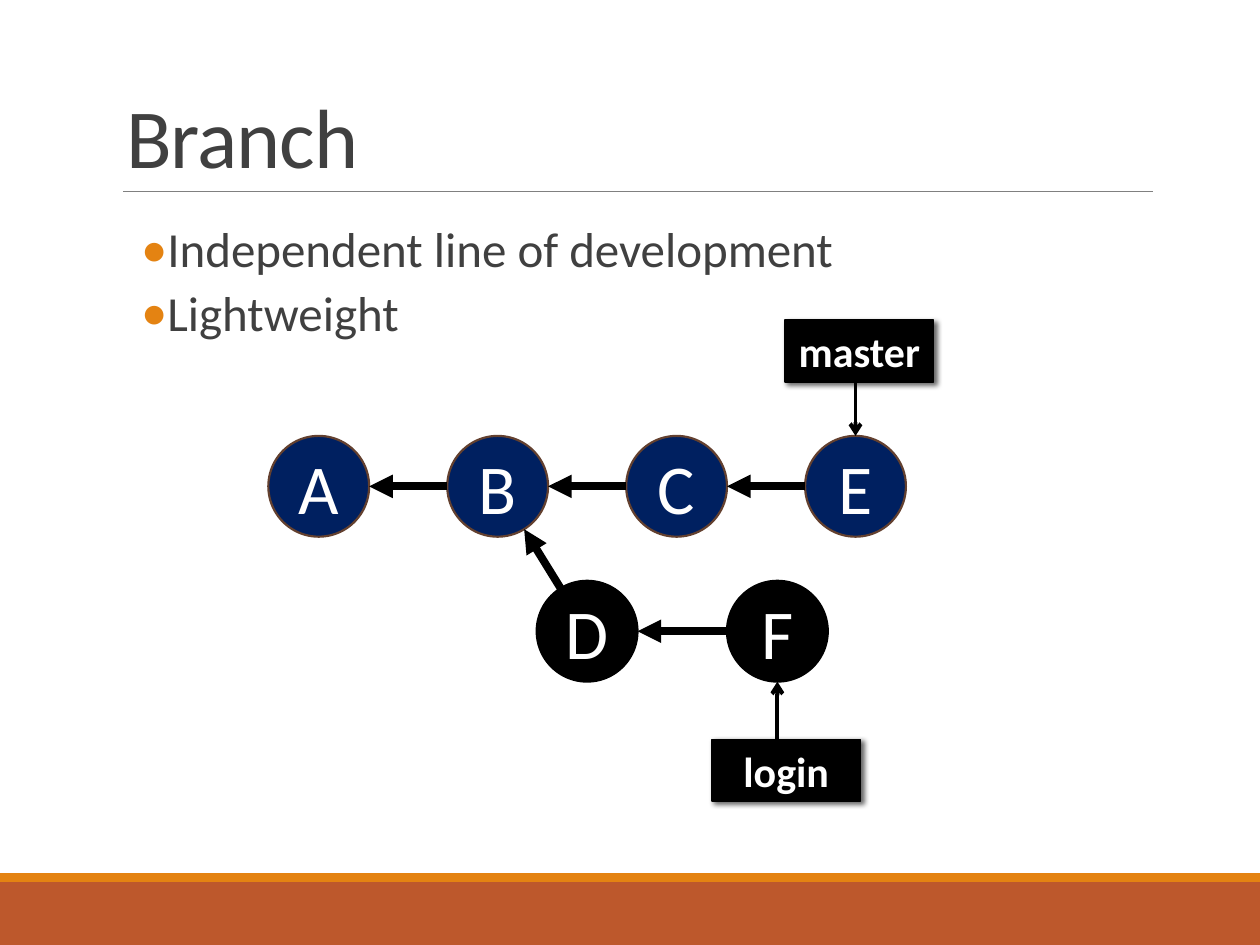
"""Build the Branch slide: a commit graph with two branch labels."""
import math

import lxml.etree
import pptx
import pptx.dml.color
import pptx.enum.shapes
import pptx.enum.text
import pptx.oxml.ns
import pptx.util

THEME = {
    "font": "Calibri", "title": 48, "body": 28, "commit": 40, "label": 24,
    "text": "404040", "rule": "808080", "accent": "E48312", "footer": "BD582C",
    "main": "002060", "main_line": "63402F", "black": "000000", "white": "FFFFFF",
}
SHAPE = pptx.enum.shapes.MSO_SHAPE
STRAIGHT = pptx.enum.shapes.MSO_CONNECTOR.STRAIGHT
ALIGN = pptx.enum.text.PP_ALIGN
ANCHOR = pptx.enum.text.MSO_ANCHOR
Pt = pptx.util.Pt
rgb = pptx.dml.color.RGBColor.from_string
qn = pptx.oxml.ns.qn

prs = pptx.Presentation()
prs.slide_width = pptx.util.Inches(10)
prs.slide_height = pptx.util.Inches(7.5)
COL = prs.slide_width / 10
ROW = prs.slide_height / 7.5
s = prs.slides.add_slide(prs.slide_layouts[5])


def add_box(kind, x, y, w, h, fill, line=None, width=1, text="", size=None, bold=False):
    sp = s.shapes.add_shape(kind, int(x * COL), int(y * ROW), int(w * COL), int(h * ROW))
    sp.shadow.inherit = False
    sp.fill.solid()
    sp.fill.fore_color.rgb = rgb(fill)
    if line:
        sp.line.color.rgb = rgb(line)
        sp.line.width = Pt(width)
    else:
        sp.line.fill.background()
    if text:
        tf = sp.text_frame
        tf.text = text
        tf.vertical_anchor = ANCHOR.MIDDLE
        p = tf.paragraphs[0]
        p.alignment = ALIGN.CENTER
        f = p.runs[0].font
        f.name, f.size, f.bold = THEME["font"], Pt(size), bold
        f.color.rgb = rgb(THEME["white"])
    return sp


def add_line(x1, y1, x2, y2, color, width, arrow=None):
    cn = s.shapes.add_connector(
        STRAIGHT, int(x1 * COL), int(y1 * ROW), int(x2 * COL), int(y2 * ROW))
    cn.line.color.rgb = rgb(color)
    cn.line.width = Pt(width)
    if arrow:
        lxml.etree.SubElement(cn.line._get_or_add_ln(), qn("a:tailEnd"), type=arrow)
    lxml.etree.SubElement(cn._element.spPr, qn("a:effectLst"))


add_box(SHAPE.RECTANGLE, 0, 7, 10, 0.5, THEME["footer"])
add_box(SHAPE.RECTANGLE, 0, 6.93, 10, 0.07, THEME["accent"])
add_line(0.98, 1.52, 9.15, 1.52, THEME["rule"], 0.5)

title = s.shapes.title
title.left, title.top = int(0.9 * COL), int(0.31 * ROW)
title.width, title.height = int(8.25 * COL), int(1.21 * ROW)
tf = title.text_frame
tf.text = "Branch"
tf.auto_size = pptx.enum.text.MSO_AUTO_SIZE.NONE
tf.vertical_anchor = ANCHOR.BOTTOM
p = tf.paragraphs[0]
p.alignment = ALIGN.LEFT
p.line_spacing = 0.85
r = p.runs[0]
r.font.name, r.font.size = THEME["font"], Pt(THEME["title"])
r.font.color.rgb = rgb(THEME["text"])
r.font._element.set("spc", "-50")

body = s.shapes.add_textbox(
    int(0.9 * COL), int(1.74 * ROW), int(8.25 * COL), int(4.68 * ROW))
tf = body.text_frame
tf.word_wrap = True
tf.margin_left = tf.margin_right = 0
tf.text = "Independent line of development\nLightweight"
for p in tf.paragraphs:
    p.line_spacing = 0.9
    p.space_before, p.space_after = Pt(2), Pt(4)
    f = p.runs[0].font
    f.name, f.size = THEME["font"], Pt(THEME["body"])
    f.color.rgb = rgb(THEME["text"])
    pPr = p._p.get_or_add_pPr()
    pPr.set("marL", str(int(0.42 * COL)))
    pPr.set("indent", str(int(-0.2 * COL)))
    color = lxml.etree.SubElement(pPr, qn("a:buClr"))
    lxml.etree.SubElement(color, qn("a:srgbClr"), val=THEME["accent"])
    lxml.etree.SubElement(pPr, qn("a:buSzPct"), val="108000")
    lxml.etree.SubElement(pPr, qn("a:buFont"), typeface=THEME["font"])
    lxml.etree.SubElement(pPr, qn("a:buChar"), char="•")

RADIUS, STEP, MAIN_Y, LOGIN_Y = 0.4, 1.42, 3.86, 5.01
commits = {name: (2.53 + i * STEP, MAIN_Y) for i, name in enumerate("ABCE")}
commits["D"] = (commits["B"][0] + STEP / 2, LOGIN_Y)
commits["F"] = (6.17, LOGIN_Y)
for name, (x, y) in commits.items():
    on_main = y == MAIN_Y
    add_box(SHAPE.OVAL, x - RADIUS, y - RADIUS, 2 * RADIUS, 2 * RADIUS,
            THEME["main" if on_main else "black"],
            THEME["main_line" if on_main else "black"], 1.25, name, THEME["commit"])

for child, parent in ("BA", "CB", "EC", "DB", "FD"):
    (x1, y1), (x2, y2) = commits[child], commits[parent]
    reach = RADIUS / math.hypot(x2 - x1, y2 - y1)
    dx, dy = (x2 - x1) * reach, (y2 - y1) * reach
    add_line(x1 + dx, y1 + dy, x2 - dx, y2 - dy, THEME["black"], 4.5, "triangle")

LABEL_W, LABEL_H = 1.18, 0.49
for text, x, y, tip, start, side in (
        ("master", 6.23, 2.54, "E", 2.54 + LABEL_H, -1),
        ("login", 5.65, 5.87, "F", 5.87, 1)):
    sp = add_box(SHAPE.RECTANGLE, x, y, LABEL_W, LABEL_H, THEME["black"],
                 THEME["black"], 1, text, THEME["label"], True)
    tf = sp.text_frame
    tf.word_wrap = False
    effects = sp._element.spPr.find(qn("a:effectLst"))
    shadow = lxml.etree.SubElement(
        effects, qn("a:outerShdw"), blurRad=str(Pt(3)), dist=str(Pt(2)),
        dir="2700000", algn="tl", rotWithShape="0")
    color = lxml.etree.SubElement(shadow, qn("a:srgbClr"), val=THEME["black"])
    lxml.etree.SubElement(color, qn("a:alpha"), val="60000")
    tip_x, tip_y = commits[tip]
    add_line(tip_x, start, tip_x, tip_y + side * RADIUS, THEME["black"], 2.25, "arrow")

prs.save("out.pptx")
